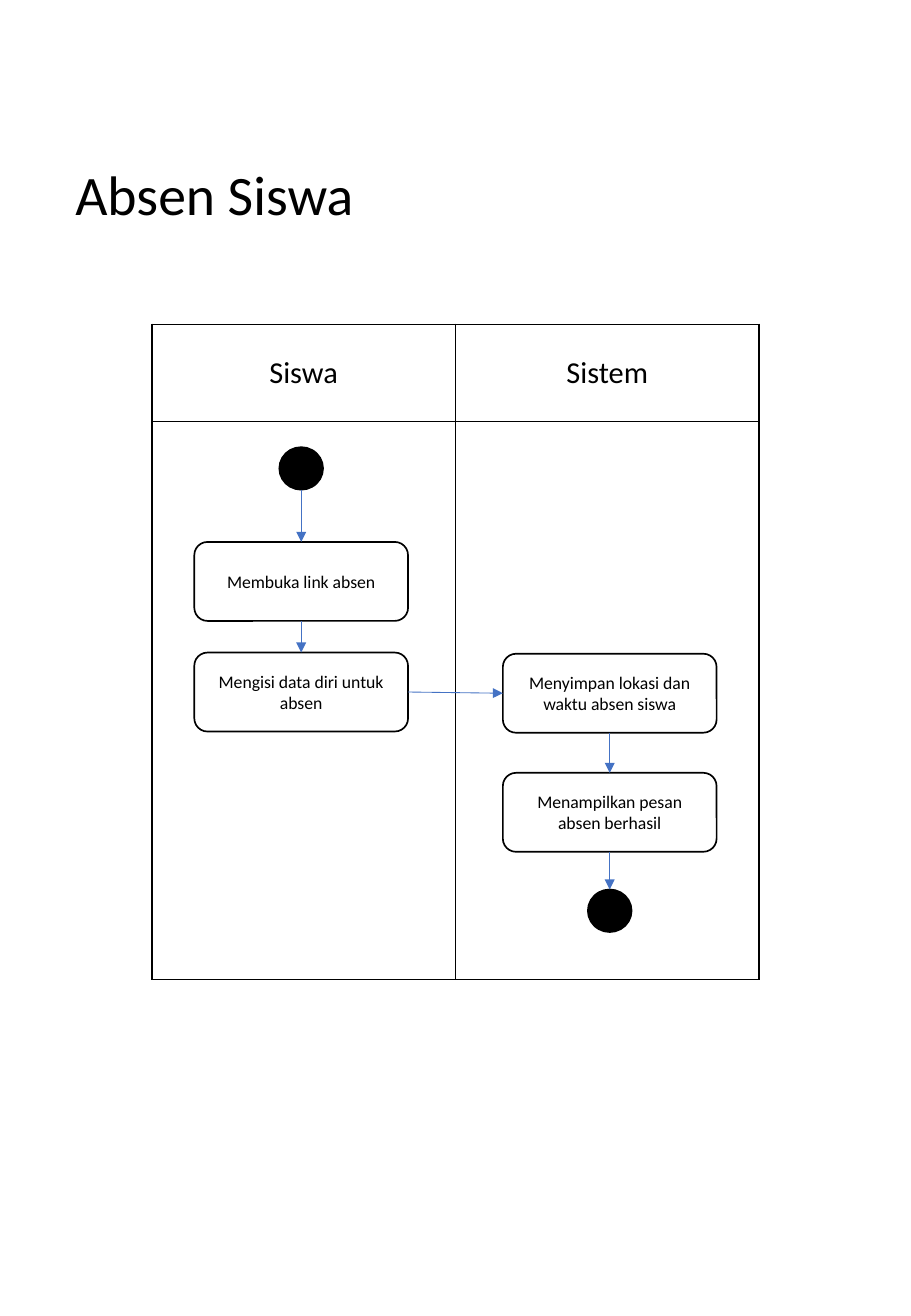
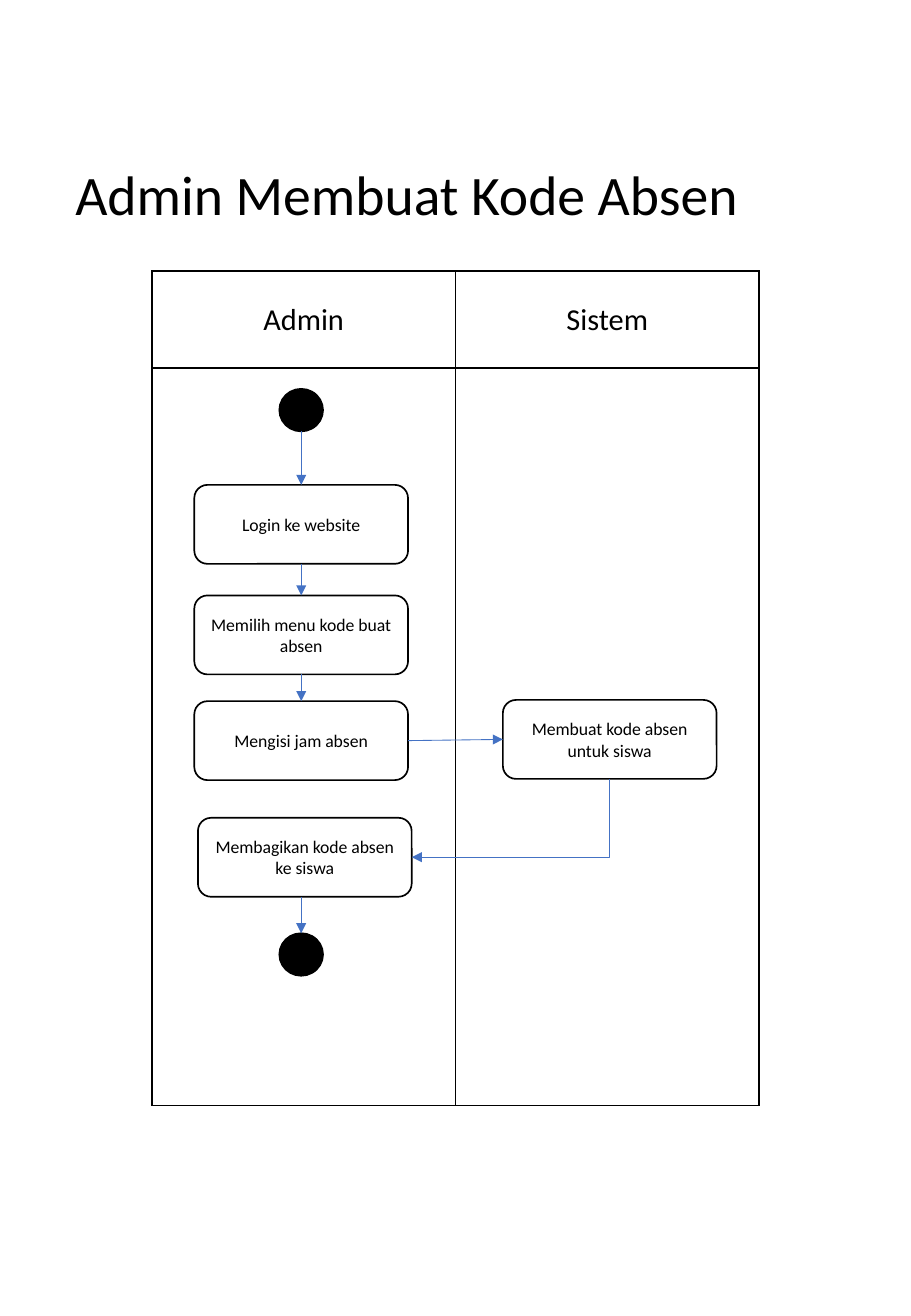
import pptx
import pptx.util
import pptx.dml.color
import pptx.enum.shapes
import pptx.enum.text
import pptx.oxml
import pptx.oxml.ns

PX = 9144  # 100 px to the inch
FONT = "Calibri"
BLACK, WHITE, BLUE = "000000", "FFFFFF", "4472C4"
LEFT, RIGHT = 248, 502  # centre lines of the two lanes
BOX_W, BOX_H = 176, 65
DOT_W, DOT_H = 36, 35
TOP, WEST, BOTTOM, EAST = range(4)
KIND = pptx.enum.shapes.MSO_SHAPE
LINK = pptx.enum.shapes.MSO_CONNECTOR
ALIGN = pptx.enum.text.PP_ALIGN
MIDDLE = pptx.enum.text.MSO_ANCHOR.MIDDLE


def px(*vals):
    return [pptx.util.Emu(v * PX) for v in vals]


def rgb(code):
    return pptx.dml.color.RGBColor.from_string(code)


def add_xml(parent, tag, inner="", **attrs):
    """Append one DrawingML element to parent."""
    pairs = "".join(f' {key}="{val}"' for key, val in attrs.items())
    space = pptx.oxml.ns.nsdecls("a")
    parent.append(pptx.oxml.parse_xml(
        f"<a:{tag} {space}{pairs}>{inner}</a:{tag}>"))


def write(frame, text, size=10.5, color=BLACK, align=ALIGN.CENTER, gap=1.0):
    frame.word_wrap = True
    frame.vertical_anchor = MIDDLE
    para = frame.paragraphs[0]
    para.alignment = align
    para.line_spacing = gap
    run = para.add_run()
    run.text = text
    run.font.name = FONT
    run.font.size = pptx.util.Pt(size)
    run.font.color.rgb = rgb(color)


def start(deck, text):
    """Add a slide with its title."""
    slide = deck.slides.add_slide(deck.slide_layouts[5])
    title = slide.shapes.title
    title.left, title.top, title.width, title.height = px(52, 58, 647, 209)
    write(title.text_frame, text, size=33, align=ALIGN.LEFT, gap=0.9)
    return slide


def lanes(slide, top, depth, names):
    """Draw the swimlanes as a table: a heading row over a body row."""
    head = 80
    frame = slide.shapes.add_table(
        2, len(names), *px(125, top, 500, head + depth))
    table = frame.table
    table.first_row = table.horz_banding = False
    table.rows[0].height, table.rows[1].height = px(head, depth)
    for cell in table.iter_cells():
        props = cell._tc.get_or_add_tcPr()
        for side in ("lnL", "lnR", "lnT", "lnB"):
            add_xml(props, side, "<a:solidFill><a:srgbClr "
                    f'val="{BLACK}"/></a:solidFill>', w=pptx.util.Pt(1))
        cell.fill.background()
    for col, name in enumerate(names):
        cell = table.cell(0, col)
        cell.vertical_anchor = MIDDLE
        write(cell.text_frame, name, size=18)


def node(slide, kind, mid, top, width, height, fill):
    """Add an outlined shape centred on mid."""
    shape = slide.shapes.add_shape(
        kind, *px(mid - width // 2, top, width, height))
    shape.shadow.inherit = False
    shape.fill.solid()
    shape.fill.fore_color.rgb = rgb(fill)
    shape.line.color.rgb = rgb(BLACK)
    shape.line.width = pptx.util.Pt(1)
    return shape


def dot(slide, mid, top):
    return node(slide, KIND.OVAL, mid, top, DOT_W, DOT_H, BLACK)


def box(slide, mid, top, text):
    shape = node(slide, KIND.ROUNDED_RECTANGLE, mid, top,
                 BOX_W, BOX_H, WHITE)
    write(shape.text_frame, text)
    return shape


def dress(line):
    """Give a connector its colour, width and arrowhead."""
    line.line.color.rgb = rgb(BLUE)
    line.line.width = pptx.util.Pt(0.5)
    add_xml(line.line._get_or_add_ln(), "tailEnd", type="triangle")
    add_xml(line._element.spPr, "effectLst")


def centre(shape):
    return shape.left + shape.width // 2


def down(slide, upper, lower):
    """Join two shapes by a vertical arrow on the lower one's centre."""
    mid = centre(lower)
    line = slide.shapes.add_connector(
        LINK.STRAIGHT, mid, upper.top + upper.height, mid, lower.top)
    if centre(upper) == mid:
        line.begin_connect(upper, BOTTOM)
        if upper.auto_shape_type == KIND.OVAL:
            # An ellipse has eight sites; its lowest is number 4.
            line._element.nvCxnSpPr.cNvCxnSpPr.stCxn.idx = 4
    line.end_connect(lower, TOP)
    dress(line)


def across(slide, first, last):
    line = slide.shapes.add_connector(LINK.STRAIGHT, 0, 0, 0, 0)
    line.begin_connect(first, EAST)
    line.end_connect(last, WEST)
    dress(line)


def elbow(slide, first, last):
    """Go down from first, then left into last."""
    x1, y1 = centre(first), first.top + first.height
    x2, y2 = last.left + last.width, last.top + last.height // 2
    # A quarter turn swaps width and height about the middle.
    wide, high = y2 - y1, x1 - x2
    left, top = (x1 + x2 - wide) // 2, (y1 + y2 - high) // 2
    line = slide.shapes.add_connector(
        LINK.ELBOW, left, top, left + wide, top + high)
    props = line._element.spPr
    props.xfrm.set("rot", str(90 * 60000))
    props.prstGeom.set("prst", "bentConnector2")
    dress(line)


def chain(slide, *nodes):
    for upper, lower in zip(nodes, nodes[1:]):
        down(slide, upper, lower)


def attend(deck):
    slide = start(deck, "Absen Siswa")
    lanes(slide, 267, 459, ["Siswa", "Sistem"])
    begin = dot(slide, LEFT, 368)
    link = box(slide, LEFT, 446, "Membuka link absen")
    data = box(slide, LEFT, 537, "Mengisi data diri untuk absen")
    save = box(slide, RIGHT, 538, "Menyimpan lokasi dan waktu absen siswa")
    show = box(slide, RIGHT, 636, "Menampilkan pesan absen berhasil")
    end = dot(slide, RIGHT, 732)
    chain(slide, begin, link, data)
    across(slide, data, save)
    chain(slide, save, show, end)


def code(deck):
    slide = start(deck, "Admin Membuat Kode Absen")
    lanes(slide, 223, 607, ["Admin", "Sistem"])
    begin = dot(slide, LEFT, 320)
    login = box(slide, LEFT, 399, "Login ke website")
    menu = box(slide, LEFT, 490, "Memilih menu kode buat absen")
    hour = box(slide, LEFT, 577, "Mengisi jam absen")
    make = box(slide, RIGHT, 576, "Membuat kode absen untuk siswa")
    share = box(slide, LEFT + 3, 673, "Membagikan kode absen ke siswa")
    end = dot(slide, LEFT, 768)
    chain(slide, begin, login, menu, hour)
    across(slide, hour, make)
    elbow(slide, make, share)
    down(slide, share, end)


def main():
    deck = pptx.Presentation()
    deck.slide_width, deck.slide_height = px(750, 1083)
    attend(deck)
    code(deck)
    deck.save("out.pptx")


if __name__ == "__main__":
    main()
